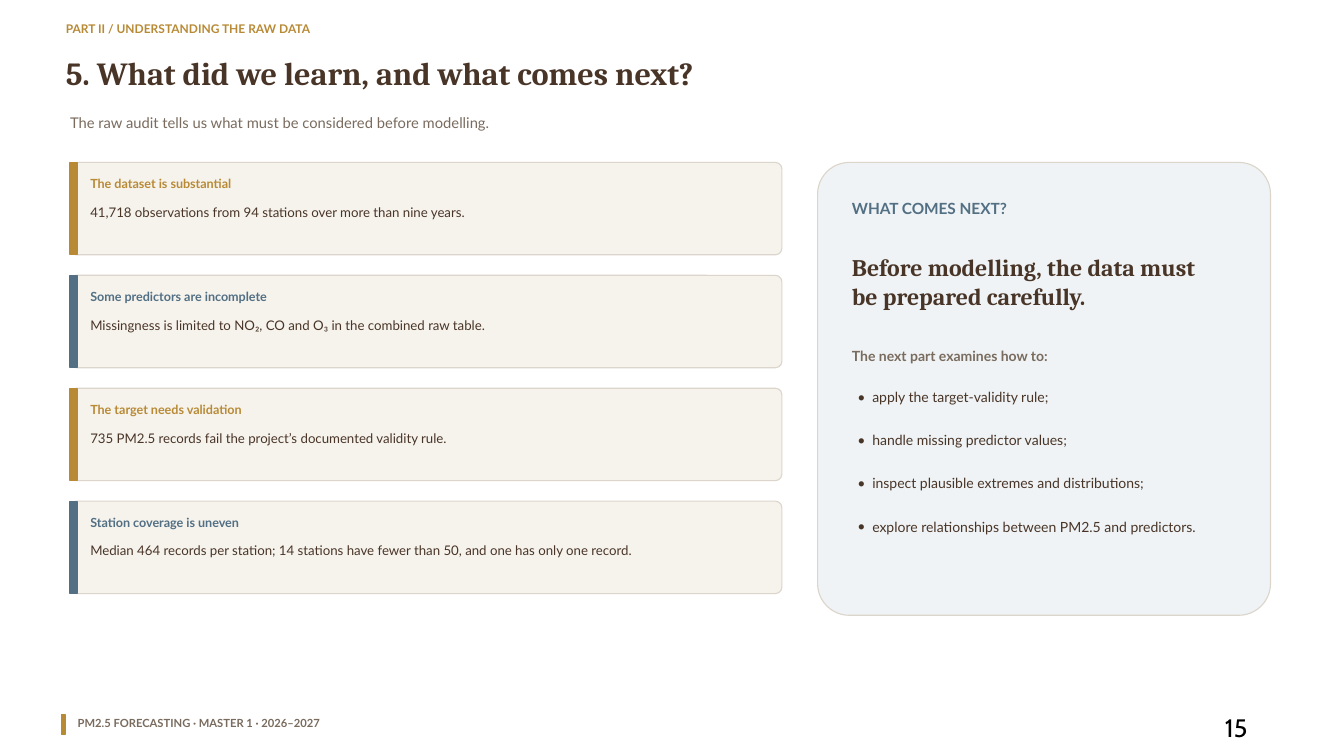
"""Build the closing slide of Part II: lessons from the raw data and next steps."""
from dataclasses import dataclass

import pptx
import pptx.dml.color
import pptx.enum.shapes
import pptx.enum.text
import pptx.oxml
import pptx.oxml.ns
import pptx.util

COLS, ROWS = 192, 108
COLORS = {
    "gold": "B88A36", "blue": "526F83", "brown": "493528", "taupe": "796B5E",
    "cream": "F6F3ED", "mist": "EFF3F5", "edge": "DCD5CB", "black": "000000",
}
RECT = pptx.enum.shapes.MSO_SHAPE.RECTANGLE
ROUNDED = pptx.enum.shapes.MSO_SHAPE.ROUNDED_RECTANGLE
CORNER = 0.07

prs = pptx.Presentation()
prs.slide_width = pptx.util.Inches(20)
prs.slide_height = pptx.util.Inches(11.25)


@dataclass(frozen=True)
class Box:
    """An area in grid columns and rows."""
    col: float
    row: float
    cols: float
    rows: float

    def emu(self) -> tuple[int, int, int, int]:
        """Return left, top, width and height in EMU."""
        w, h = prs.slide_width / COLS, prs.slide_height / ROWS
        return (round(self.col * w), round(self.row * h),
                round(self.cols * w), round(self.rows * h))


@dataclass(frozen=True)
class Card:
    """A finding with its accent colour."""
    heading: str
    body: str
    accent: str


CARDS = [
    Card("The dataset is substantial",
         "41,718 observations from 94 stations over more than nine years.", "gold"),
    Card("Some predictors are incomplete",
         "Missingness is limited to NO₂, CO and O₃ in the combined raw table.", "blue"),
    Card("The target needs validation",
         "735 PM2.5 records fail the project’s documented validity rule.", "gold"),
    Card("Station coverage is uneven",
         "Median 464 records per station; 14 stations have fewer than 50, "
         "and one has only one record.", "blue"),
]
STEPS = [
    "apply the target-validity rule;",
    "handle missing predictor values;",
    "inspect plausible extremes and distributions;",
    "explore relationships between PM2.5 and predictors.",
]


def rgb(name: str) -> pptx.dml.color.RGBColor:
    """Return the named colour."""
    return pptx.dml.color.RGBColor.from_string(COLORS[name])


def add_bullet(p, indent: int) -> None:
    """Give a paragraph a hanging round bullet."""
    pPr = p._p.get_or_add_pPr()
    pPr.set("marL", str(indent))
    pPr.set("indent", str(-indent))
    ns = pptx.oxml.ns.nsdecls("a")
    pPr.append(pptx.oxml.parse_xml(f'<a:buFont {ns} typeface="Lato"/>'))
    pPr.append(pptx.oxml.parse_xml(f'<a:buChar {ns} char="•"/>'))


def add_text(s, box: Box, *lines: str, size: float, color: str, font: str = "Lato",
             bold: bool = False, gap: float = 0, bullets: bool = False, sp=None):
    """Write lines into a new text box, or into the given placeholder."""
    sp = sp or s.shapes.add_textbox(0, 0, 0, 0)
    sp.left, sp.top, sp.width, sp.height = box.emu()
    tf = sp.text_frame
    tf.word_wrap = True
    tf.auto_size = pptx.enum.text.MSO_AUTO_SIZE.NONE
    tf.vertical_anchor = pptx.enum.text.MSO_ANCHOR.TOP
    tf.margin_left = tf.margin_top = tf.margin_right = tf.margin_bottom = 0
    for i, line in enumerate(lines):
        p = tf.add_paragraph() if i else tf.paragraphs[0]
        p.alignment = pptx.enum.text.PP_ALIGN.LEFT
        p.line_spacing = pptx.util.Pt(round(size * 1.2, 1))
        if i:
            p.space_before = pptx.util.Pt(gap)
        if bullets:
            add_bullet(p, pptx.util.Inches(0.22))
        r = p.add_run()
        r.text = line
        r.font.name, r.font.size, r.font.bold = font, pptx.util.Pt(size), bold
        r.font.color.rgb = rgb(color)
    return sp


def add_block(s, box: Box, fill: str, line: str, kind=RECT):
    """Draw a filled, outlined block."""
    sp = s.shapes.add_shape(kind, *box.emu())
    sp.shadow.inherit = False
    sp.fill.solid()
    sp.fill.fore_color.rgb = rgb(fill)
    sp.line.color.rgb = rgb(line)
    sp.line.width = pptx.util.Pt(1.2)
    if kind == ROUNDED:
        sp.adjustments[0] = CORNER
    return sp


def add_card(s, card: Card, row: float) -> None:
    """Draw a finding card with its accent bar."""
    add_block(s, Box(10, row, 101.7, 13.2), "cream", "edge", ROUNDED)
    add_block(s, Box(10, row, 1, 13.2), card.accent, card.accent)
    add_text(s, Box(12.9, row + 1.95, 96.5, 2.3), card.heading,
             size=13.5, color=card.accent, bold=True)
    add_text(s, Box(12.9, row + 5.95, 96.5, 6), card.body, size=14.2, color="brown")


def add_panel(s, row: float) -> None:
    """Draw the panel of next steps."""
    add_block(s, Box(116.8, row, 64.7, 64.7), "mist", "edge", ROUNDED)
    add_text(s, Box(121.7, row + 5.2, 54.4, 3.4), "WHAT COMES NEXT?",
             size=16.5, color="blue", bold=True)
    add_text(s, Box(121.7, row + 12.9, 52.6, 9.5),
             "Before modelling, the data must be prepared carefully.",
             size=25.5, color="brown", font="Cambria", bold=True)
    add_text(s, Box(121.7, row + 26.5, 52.6, 2.7), "The next part examines how to:",
             size=15, color="taupe", bold=True)
    add_text(s, Box(122.5, row + 32.3, 52.3, 22.2), *STEPS,
             size=15, color="brown", gap=28.3, bullets=True)


def main() -> None:
    """Build and save the slide."""
    s = prs.slides.add_slide(prs.slide_layouts[5])
    add_text(s, Box(9.4, 7.6, 171.8, 7.8), "5. What did we learn, and what comes next?",
             size=34.5, color="brown", font="Cambria", bold=True, sp=s.shapes.title)
    add_text(s, Box(9.4, 3.1, 107, 2.3), "PART II / UNDERSTANDING THE RAW DATA",
             size=12.8, color="gold", bold=True)
    add_text(s, Box(10, 16.3, 171.8, 3.9),
             "The raw audit tells us what must be considered before modelling.",
             size=15.8, color="taupe")
    top, pitch = 23.2, 16.13
    for i, card in enumerate(CARDS):
        add_card(s, card, top + i * pitch)
    add_panel(s, top)
    add_block(s, Box(8.8, 102.1, 0.5, 2.8), "gold", "gold")
    add_text(s, Box(11.1, 102.4, 99.8, 1.9), "PM2.5 FORECASTING · MASTER 1 · 2026–2027",
             size=12, color="taupe", bold=True)
    add_text(s, Box(175, 101.7, 5.5, 2.5), "15", size=27, color="black", font="Cabin")
    prs.save("out.pptx")


if __name__ == "__main__":
    main()
